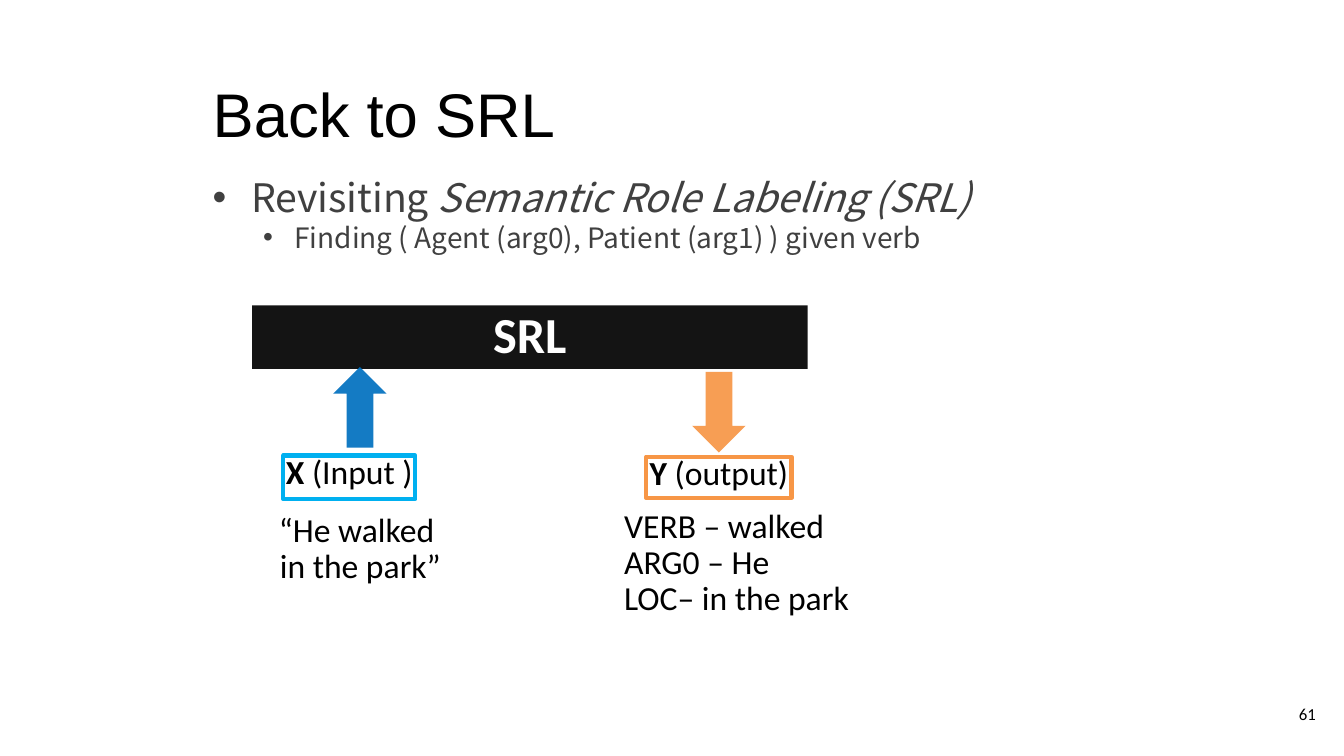
from lxml import etree
from pptx import Presentation
from pptx.dml.color import RGBColor
from pptx.enum.shapes import MSO_SHAPE
from pptx.enum.text import MSO_ANCHOR, MSO_AUTO_SIZE, PP_ALIGN
from pptx.oxml.ns import qn
from pptx.util import Inches, Pt

BLACK = RGBColor(0x00, 0x00, 0x00)
WHITE = RGBColor(0xFF, 0xFF, 0xFF)
GRAY = RGBColor(0x40, 0x40, 0x40)
BLUE = RGBColor(0x00, 0x70, 0xC0)
SKY = RGBColor(0x00, 0xB0, 0xF0)
ORANGE = RGBColor(0xF7, 0x96, 0x46)
OPACITY = 92

# Content: a run is (text, style), where style is "", "b" or "i"
TITLE = "Back to SRL"
BULLETS = [  # level, size, left margin, hanging indent, runs
    (0, 28, 0.38, 0.38, [("Revisiting ", ""), ("Semantic Role Labeling (SRL)", "i")]),
    (1, 20, 0.81, 0.31, [("Finding ( Agent (arg0), Patient (arg1) ) given verb", "")]),
]
MODEL = [[("SRL", "b")]]
SIDES = [
    {"label": [[("X ", "b"), ("(Input )", "")]], "label_box": (2.81, 4.52, 1.31, 0.43),
     "label_line": SKY, "arrow_center": (3.57, 4.04), "arrow_fill": BLUE, "rotation": 270,
     "example": [[("“He walked \vin the park”", "")]],
     "example_box": (2.46, 5.09, 2.23, 0.74), "align": PP_ALIGN.CENTER},
    {"label": [[("Y", "b"), (" (output)", "")]], "label_box": (6.41, 4.53, 1.44, 0.41),
     "label_line": ORANGE, "arrow_center": (7.13, 4.09), "arrow_fill": ORANGE, "rotation": 90,
     "example": [[("VERB – walked", "")], [("ARG0 – He", "")], [("LOC– in the park", "")]],
     "example_box": (6.19, 5.05, 2.23, 1.29), "align": PP_ALIGN.LEFT},
]
PAGE_NUMBER = [[("61", "")]]
ARROW_LENGTH, ARROW_WIDTH = 0.8, 0.53


def place(shape, box):
    shape.left, shape.top, shape.width, shape.height = map(Inches, box)


def set_frame(shape, margins, anchor=MSO_ANCHOR.TOP, wrap=True):
    frame = shape.text_frame
    frame.auto_size = MSO_AUTO_SIZE.NONE
    frame.word_wrap = wrap
    frame.vertical_anchor = anchor
    (frame.margin_left, frame.margin_top,
     frame.margin_right, frame.margin_bottom) = map(Inches, margins)
    return frame


def add_runs(paragraph, runs, size, color, font_name):
    for text, style in runs:
        for index, line in enumerate(text.split("\v")):
            if index:
                paragraph.add_line_break()
            run = paragraph.add_run()
            run.text = line
            font = run.font
            font.name, font.size = font_name, Pt(size)
            font.bold, font.italic = style == "b", style == "i"
            font.color.rgb = color


def paragraphs_for(frame, items):
    for index, item in enumerate(items):
        yield (frame.add_paragraph() if index else frame.paragraphs[0]), item


def write(frame, lines, size, align, color=BLACK, spacing=0.9):
    for paragraph, runs in paragraphs_for(frame, lines):
        paragraph.alignment = align
        paragraph.line_spacing = spacing
        add_runs(paragraph, runs, size, color, "Calibri")


def add_block(slide, kind, box, fill=None, line=None):
    shape = slide.shapes.add_shape(kind, *map(Inches, box))
    shape.shadow.inherit = False
    if fill is None:
        shape.fill.background()
    else:
        shape.fill.solid()
        shape.fill.fore_color.rgb = fill
        color = shape.fill._xPr.find(qn("a:solidFill"))[0]
        etree.SubElement(color, qn("a:alpha")).set("val", str(OPACITY * 1000))
    if line is None:
        shape.line.fill.background()
    else:
        shape.line.color.rgb = line
        shape.line.width = Pt(3)
    return shape


def add_text(slide, box, margins, lines, size, align, anchor=MSO_ANCHOR.TOP,
             wrap=False, spacing=0.9):
    shape = slide.shapes.add_textbox(*map(Inches, box))
    write(set_frame(shape, margins, anchor, wrap), lines, size, align, spacing=spacing)


def set_bullet(paragraph, margin, hanging):
    properties = paragraph._p.get_or_add_pPr()
    properties.set("marL", str(Inches(margin)))
    properties.set("indent", str(-Inches(hanging)))
    etree.SubElement(properties, qn("a:buFont")).set("typeface", "Arial")
    etree.SubElement(properties, qn("a:buChar")).set("char", "•")


def main():
    presentation = Presentation()
    presentation.slide_width, presentation.slide_height = Inches(13.33), Inches(7.5)
    slide = presentation.slides.add_slide(presentation.slide_layouts[1])

    # Title
    title = slide.shapes.title
    place(title, (2.01, 0.65, 9.66, 0.84))
    paragraph = set_frame(title, (0.1,) * 4).paragraphs[0]
    paragraph.alignment = PP_ALIGN.LEFT
    add_runs(paragraph, [(TITLE, "")], 44, BLACK, "Arial")

    # Bullet list
    body = slide.placeholders[1]
    place(body, (2.01, 1.62, 9.32, 4.98))
    frame = set_frame(body, (0.1,) * 4)
    for paragraph, (level, size, margin, hanging, runs) in paragraphs_for(frame, BULLETS):
        paragraph.level = level
        paragraph.line_spacing = 1.0
        paragraph.space_before = Pt(0)
        set_bullet(paragraph, margin, hanging)
        add_runs(paragraph, runs, size, GRAY, "Noto Sans CJK KR")

    # Model bar
    bar = add_block(slide, MSO_SHAPE.RECTANGLE, (2.5, 3.03, 5.51, 0.63), fill=BLACK)
    frame = set_frame(bar, (0.08, 0.04, 0.08, 0.04), MSO_ANCHOR.MIDDLE)
    write(frame, MODEL, 36, PP_ALIGN.CENTER, WHITE)

    # Input and output: arrow, framed label, example
    for side in SIDES:
        x, y = side["arrow_center"]
        arrow_box = (x - ARROW_LENGTH / 2, y - ARROW_WIDTH / 2, ARROW_LENGTH, ARROW_WIDTH)
        arrow = add_block(slide, MSO_SHAPE.RIGHT_ARROW, arrow_box, fill=side["arrow_fill"])
        arrow.rotation = side["rotation"]
        label = add_block(slide, MSO_SHAPE.RECTANGLE, side["label_box"], line=side["label_line"])
        write(set_frame(label, (0,) * 4, wrap=False), side["label"], 24, PP_ALIGN.CENTER)
        add_text(slide, side["example_box"], (0,) * 4, side["example"], 24, side["align"])

    # Page number
    add_text(slide, (12.35, 6.8, 0.8, 0.57), (0.1,) * 4, PAGE_NUMBER, 12, PP_ALIGN.RIGHT,
             MSO_ANCHOR.MIDDLE, wrap=True, spacing=1.0)

    presentation.save("out.pptx")


if __name__ == "__main__":
    main()
